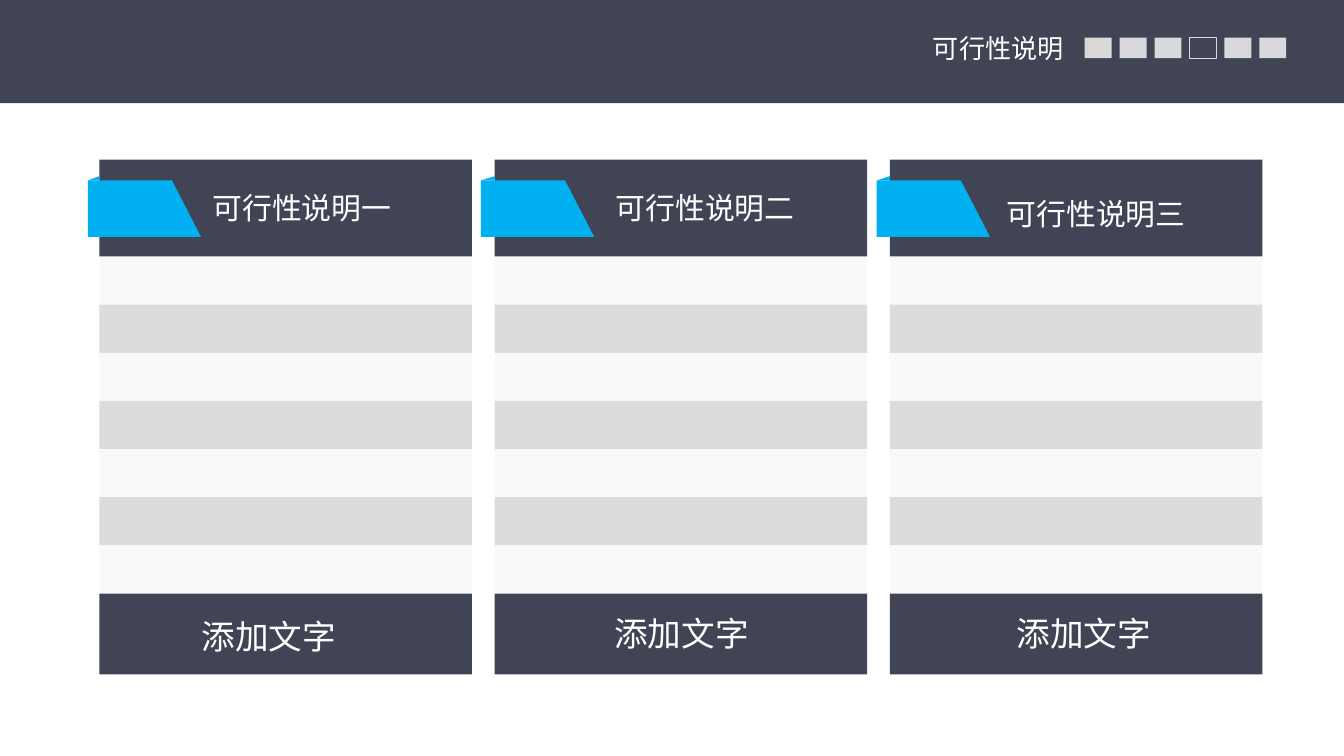
"""Build the feasibility slide: a title band and three striped columns."""
from dataclasses import dataclass

from lxml import etree
from pptx import Presentation
from pptx.dml.color import RGBColor
from pptx.enum import shapes, text
from pptx.oxml import ns
from pptx.shapes.autoshape import Shape
from pptx.slide import Slide
from pptx.util import Cm, Pt


@dataclass(frozen=True)
class Theme:
    font: str = "Noto Sans CJK SC"
    dark: str = "414455"
    accent: str = "00B0F0"
    white: str = "FFFFFF"
    light_row: str = "F9F9F9"
    dark_row: str = "DCDCDC"
    marker: str = "D9D9D9"
    title_size: int = 14
    heading_size: int = 16
    footer_size: int = 18


@dataclass(frozen=True)
class Box:
    left: float
    top: float
    width: float
    height: float


@dataclass(frozen=True)
class Column:
    heading: str
    ribbon_left: float
    heading_box: Box
    footer_box: Box


THEME = Theme()
COLUMN_LEFT, COLUMN_PITCH, COLUMN_WIDTH = 1.88, 7.47, 7.04
HEADER_TOP, HEADER_HEIGHT = 3.02, 1.83
ROW_COUNT, ROW_HEIGHT = 7, 0.91
FOOTER_HEIGHT = 1.53
MARKER_COUNT, CURRENT_MARKER = 6, 3
COLUMNS = (
    Column("可行性说明一", 1.66, Box(3.89, 3.45, 4.7, 1.04), Box(3.68, 11.51, 3.25, 1.14)),
    Column("可行性说明二", 9.09, Box(11.51, 3.45, 4.57, 1.04), Box(11.48, 11.46, 3.25, 1.14)),
    Column("可行性说明三", 16.57, Box(18.9, 3.56, 5, 1.04), Box(19.08, 11.46, 3.25, 1.14)),
)


def lengths(box: Box) -> tuple[Cm, Cm, Cm, Cm]:
    """Return the box as lengths."""
    return Cm(box.left), Cm(box.top), Cm(box.width), Cm(box.height)


def paint(shape: Shape, color: str) -> None:
    """Give a shape a plain fill without line or shadow."""
    shape.shadow.inherit = False
    shape.fill.solid()
    shape.fill.fore_color.rgb = RGBColor.from_string(color)
    shape.line.fill.background()


def add_rectangle(slide: Slide, box: Box, color: str) -> Shape:
    """Add a plain rectangle."""
    shape = slide.shapes.add_shape(shapes.MSO_SHAPE.RECTANGLE, *lengths(box))
    paint(shape, color)
    return shape


def add_polygon(slide: Slide, points: list[tuple[float, float]], color: str) -> None:
    """Add a closed outline through the given points."""
    corners = [(Cm(x), Cm(y)) for x, y in points]
    builder = slide.shapes.build_freeform(*corners[0])
    builder.add_line_segments(corners[1:], close=True)
    paint(builder.convert_to_shape(), color)


def write(shape: Shape, words: str, size: int, wrap: bool = True) -> None:
    """Put left-aligned white text at the top of a shape."""
    frame = shape.text_frame
    frame.text = words
    frame.word_wrap = wrap
    frame.auto_size = text.MSO_AUTO_SIZE.NONE
    frame.vertical_anchor = text.MSO_ANCHOR.TOP
    frame.margin_left = frame.margin_right = Cm(0.13)
    frame.margin_top = frame.margin_bottom = Cm(0.13)
    paragraph = frame.paragraphs[0]
    paragraph.alignment = text.PP_ALIGN.LEFT
    font = paragraph.font
    font.name = THEME.font
    font.size = Pt(size)
    font.color.rgb = RGBColor.from_string(THEME.white)
    etree.SubElement(font._element, ns.qn("a:ea"), typeface=THEME.font)


def add_title(slide: Slide) -> None:
    """Add the top band and place the title on it."""
    title = slide.shapes.title
    band = add_rectangle(slide, Box(0, 0, 25.4, 1.95), THEME.dark)
    title._element.addprevious(band._element)
    title.left, title.top, title.width, title.height = lengths(Box(17.5, 0.48, 2.77, 0.97))
    write(title, "可行性说明", THEME.title_size, wrap=False)


def add_markers(slide: Slide) -> None:
    """Add the row of page markers with the current one outlined."""
    for index in range(MARKER_COUNT):
        box = Box(20.5 + index * 0.66, 0.71, 0.51, 0.39)
        marker = add_rectangle(slide, box, THEME.white if index else THEME.marker)
        if index == CURRENT_MARKER:
            marker.fill.background()
            marker.line.color.rgb = RGBColor.from_string(THEME.marker)
            marker.line.width = Pt(0.5)
        elif index:
            color = marker._element.spPr.find(ns.qn("a:solidFill"))[0]
            etree.SubElement(color, ns.qn("a:alpha"), val="80000")


def add_column(slide: Slide, column: Column, left: float) -> None:
    """Add one column with its rows, header, ribbon and footer."""
    rows_top = HEADER_TOP + HEADER_HEIGHT
    for row in range(ROW_COUNT):
        color = THEME.dark_row if row % 2 else THEME.light_row
        box = Box(left, rows_top + row * ROW_HEIGHT, COLUMN_WIDTH, ROW_HEIGHT)
        add_rectangle(slide, box, color)

    add_rectangle(slide, Box(left, HEADER_TOP, COLUMN_WIDTH, HEADER_HEIGHT), THEME.dark)
    edge, top, bottom = column.ribbon_left, 3.41, 4.48
    ribbon = [(edge, top), (edge + 1.59, top), (edge + 2.14, bottom), (edge, bottom)]
    fold = [(edge, top), (left, 3.33), (left, top)]
    for points in (ribbon, fold):
        add_polygon(slide, points, THEME.accent)
    heading = slide.shapes.add_textbox(*lengths(column.heading_box))
    write(heading, column.heading, THEME.heading_size)

    footer_top = rows_top + ROW_COUNT * ROW_HEIGHT
    add_rectangle(slide, Box(left, footer_top, COLUMN_WIDTH, FOOTER_HEIGHT), THEME.dark)
    label = add_rectangle(slide, column.footer_box, THEME.dark)
    write(label, "添加文字", THEME.footer_size)


def main() -> None:
    """Build and save the presentation."""
    presentation = Presentation()
    presentation.slide_width, presentation.slide_height = Cm(25.4), Cm(14.29)
    slide = presentation.slides.add_slide(presentation.slide_layouts[5])
    add_title(slide)
    for index, column in enumerate(COLUMNS):
        add_column(slide, column, COLUMN_LEFT + index * COLUMN_PITCH)
    add_markers(slide)
    presentation.save("out.pptx")


if __name__ == "__main__":
    main()
